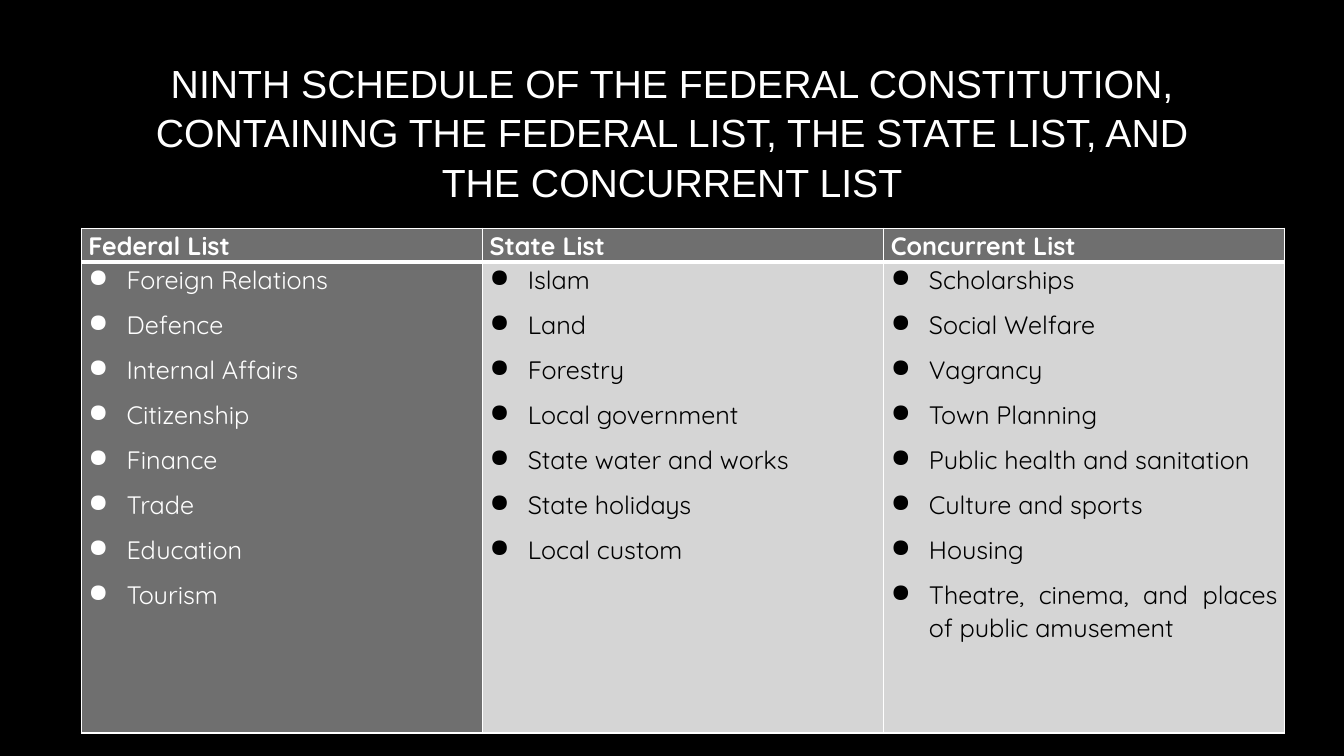
from dataclasses import dataclass

from lxml import etree
from pptx import Presentation
from pptx.dml.color import RGBColor
from pptx.enum.text import MSO_ANCHOR, MSO_AUTO_SIZE, PP_ALIGN
from pptx.oxml.ns import qn
from pptx.slide import Slide
from pptx.table import Table, _Cell
from pptx.util import Cm, Pt

CENTER, JUSTIFY = PP_ALIGN.CENTER, PP_ALIGN.JUSTIFY
MIDDLE = MSO_ANCHOR.MIDDLE
NO_AUTOFIT = MSO_AUTO_SIZE.NONE

BLACK, WHITE = "000000", "FFFFFF"
DARK_GREY, LIGHT_GREY, FADE_GREY = "6F6F6F", "D5D5D5", "A6A6A6"
TITLE_FONT, TABLE_FONT = "Arial", "Quicksand"
TITLE = (
    "NINTH SCHEDULE OF THE FEDERAL CONSTITUTION, CONTAINING "
    "THE FEDERAL LIST, THE STATE LIST, AND THE CONCURRENT LIST"
)


@dataclass
class PowerList:
    heading: str
    items: list[str]
    fill: str
    color: str


POWER_LISTS = [
    PowerList("Federal List", [
        "Foreign Relations", "Defence", "Internal Affairs", "Citizenship",
        "Finance", "Trade", "Education", "Tourism",
    ], DARK_GREY, WHITE),
    PowerList("State List", [
        "Islam", "Land", "Forestry", "Local government",
        "State water and works", "State holidays", "Local custom",
    ], LIGHT_GREY, BLACK),
    PowerList("Concurrent List", [
        "Scholarships", "Social Welfare", "Vagrancy", "Town Planning",
        "Public health and sanitation", "Culture and sports", "Housing",
        "Theatre, cinema, and places of public amusement",
    ], LIGHT_GREY, BLACK),
]


def rgb(value: str) -> RGBColor:
    return RGBColor.from_string(value)


def add_title(s: Slide) -> None:
    sp = s.shapes.title
    sp.left, sp.top, sp.width, sp.height = Cm(3.18), Cm(0.66), Cm(27.51), Cm(5.28)
    tf = sp.text_frame
    tf.word_wrap = True
    tf.auto_size = NO_AUTOFIT
    tf.vertical_anchor = MIDDLE
    p = tf.paragraphs[0]
    p.alignment = CENTER
    p.line_spacing = 1.05
    r = p.add_run()
    r.text = TITLE
    r.font.name = TITLE_FONT
    r.font.size = Pt(28)
    fill = r.font.fill
    fill.gradient()
    fill.gradient_angle = 267
    for stop, color in zip(fill.gradient_stops, (WHITE, FADE_GREY)):
        stop.color.rgb = rgb(color)


def format_cell(cell: _Cell, fill: str, bottom: float) -> None:
    cell.margin_left = cell.margin_right = Cm(0.18)
    cell.margin_top = cell.margin_bottom = 0
    tcPr = cell._tc.get_or_add_tcPr()
    for side, width in (("L", 1), ("R", 1), ("T", 1), ("B", bottom)):
        ln = etree.SubElement(tcPr, qn(f"a:ln{side}"), w=str(Pt(width)))
        solid = etree.SubElement(ln, qn("a:solidFill"))
        etree.SubElement(solid, qn("a:srgbClr"), val=WHITE)
    cell.fill.solid()
    cell.fill.fore_color.rgb = rgb(fill)


def write_cell(cell: _Cell, lines: list[str], color: str, heading: bool) -> None:
    tf = cell.text_frame
    for i, line in enumerate(lines):
        p = tf.add_paragraph() if i else tf.paragraphs[0]
        p.alignment = JUSTIFY
        p.line_spacing = 1.07
        if not heading:
            p.space_after = Pt(8)
            pPr = p._p.get_or_add_pPr()
            pPr.set("marL", str(Cm(0.96)))
            pPr.set("indent", str(-Cm(0.96)))
            etree.SubElement(pPr, qn("a:buChar"), char="●")
            tabs = etree.SubElement(pPr, qn("a:tabLst"))
            etree.SubElement(tabs, qn("a:tab"), pos=str(Cm(0.74)), algn="l")
        r = p.add_run()
        r.text = line
        r.font.name = TABLE_FONT
        r.font.size = Pt(18)
        r.font.bold = heading
        r.font.color.rgb = rgb(color)


def add_power_table(s: Slide) -> Table:
    tbl = s.shapes.add_table(
        2, len(POWER_LISTS), Cm(2.05), Cm(5.75), Cm(30.33), Cm(12.72)
    ).table
    tbl.first_row = tbl.horz_banding = False
    tbl.rows[0].height = Cm(0.85)
    tbl.rows[1].height = Cm(11.87)
    for col, power in enumerate(POWER_LISTS):
        head, body = tbl.cell(0, col), tbl.cell(1, col)
        format_cell(head, DARK_GREY, 3)
        write_cell(head, [power.heading], WHITE, True)
        format_cell(body, power.fill, 1)
        write_cell(body, power.items, power.color, False)
    return tbl


def main() -> None:
    prs = Presentation()
    prs.slide_width, prs.slide_height = Cm(33.87), Cm(19.05)
    s = prs.slides.add_slide(prs.slide_layouts[5])
    s.background.fill.solid()
    s.background.fill.fore_color.rgb = rgb(BLACK)
    add_title(s)
    add_power_table(s)
    prs.save("out.pptx")


if __name__ == "__main__":
    main()
